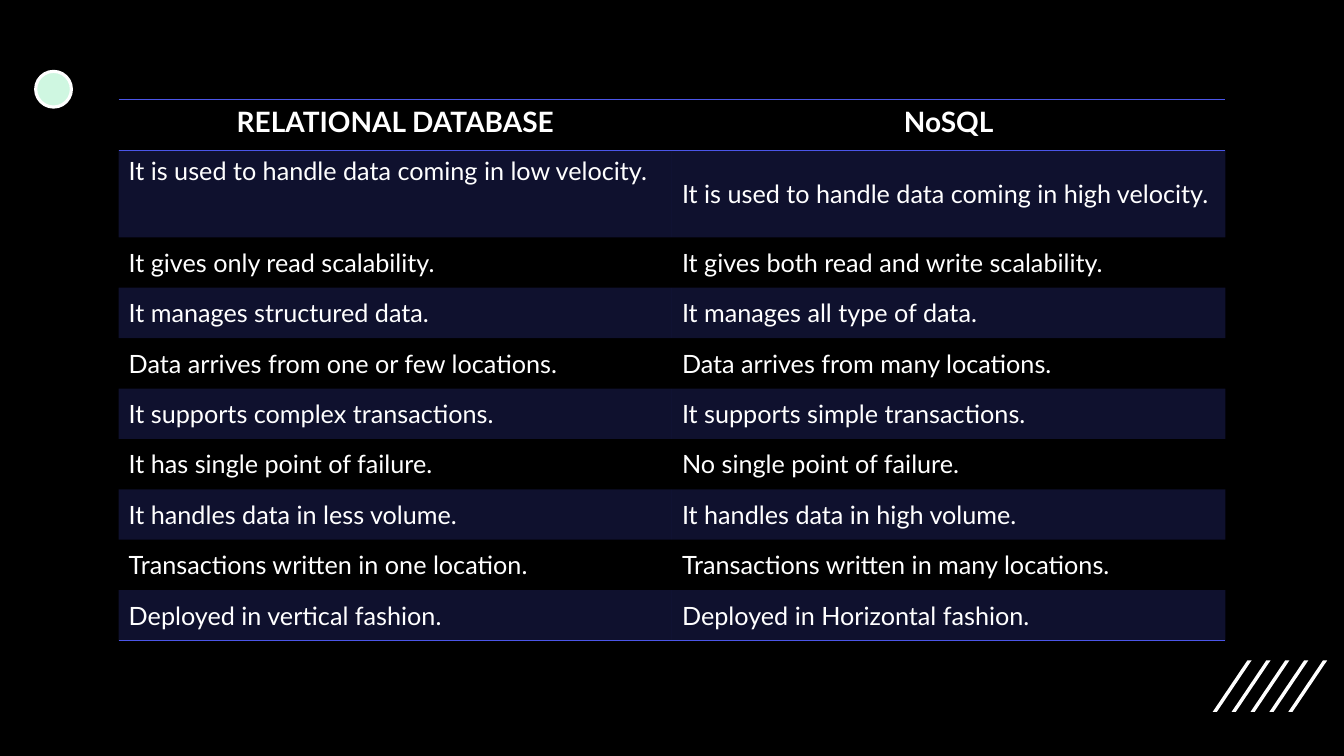
from lxml.etree import SubElement
from pptx import Presentation
from pptx.dml.color import RGBColor
from pptx.enum.shapes import MSO_SHAPE as Shape
from pptx.enum.text import MSO_ANCHOR as Anchor, PP_ALIGN as Align
from pptx.oxml import parse_xml
from pptx.oxml.ns import nsdecls, qn
from pptx.util import Pt

PX = 9525
COLORS = {"black": "000000", "white": "FFFFFF", "mint": "CFF7E1", "indigo": "4B56E8"}
FONT = "Lato"
PLAIN_STYLE = "{2D5ABB26-0587-4C30-8999-92F81FD0307C}"
ROWS = [
    ("RELATIONAL DATABASE", "NoSQL"),
    ("It is used to handle data coming in low velocity.",
     "It is used to handle data coming in high velocity."),
    ("It gives only read scalability.", "It gives both read and write scalability."),
    ("It manages structured data.", "It manages all type of data."),
    ("Data arrives from one or few locations.", "Data arrives from many locations."),
    ("It supports complex transactions.", "It supports simple transactions."),
    ("It has single point of failure.", "No single point of failure."),
    ("It handles data in less volume.", "It handles data in high volume."),
    ("Transactions written in one location.", "Transactions written in many locations."),
    ("Deployed in vertical fashion.", "Deployed in Horizontal fashion."),
]


def color(name):
    """Return the named colour."""
    return RGBColor.from_string(COLORS[name])


def fill_solid(target, name):
    """Fill a shape, cell or background with one colour."""
    target.fill.solid()
    target.fill.fore_color.rgb = color(name)


def add_stripes(slide, left, top, width, height, count=5, thickness=4, step=18):
    """Draw a row of slanted stripes, each as wide and high as given."""
    for index in range(count):
        x = left + index * step
        builder = slide.shapes.build_freeform(x + thickness, top + height, scale=PX)
        builder.add_line_segments([
            (x, top + height), (x + width - thickness, top), (x + width, top)])
        stripe = builder.convert_to_shape()
        stripe.shadow.inherit = False
        fill_solid(stripe, "white")
        stripe.line.fill.background()


def add_dot(slide, left, top, size):
    """Draw the outlined round marker."""
    dot = slide.shapes.add_shape(Shape.OVAL, left * PX, top * PX, size * PX, size * PX)
    dot.shadow.inherit = False
    fill_solid(dot, "mint")
    dot.line.color.rgb = color("white")
    dot.line.width = Pt(2.25)


def add_borders(cell, sides):
    """Put thin lines on the given sides of a cell, top before bottom."""
    properties = cell._tc.get_or_add_tcPr()
    for index, side in enumerate(sides):
        properties.insert(index, parse_xml(
            f'<a:ln{side} {nsdecls("a")} w="12700"><a:solidFill>'
            f'<a:srgbClr val="{COLORS["indigo"]}"/></a:solidFill></a:ln{side}>'))


def style_cell(cell, row, column):
    """Style a cell by its place in the table."""
    paragraph = cell.text_frame.paragraphs[0]
    font = paragraph.font
    font.name = FONT
    font.size = Pt(18 if row else 20)
    font.bold = row == 0
    font.color.rgb = color("white")
    paragraph.alignment = Align.LEFT if row else Align.CENTER
    top_anchored = row == 0 or (row, column) == (1, 0)
    cell.vertical_anchor = Anchor.TOP if top_anchored else Anchor.MIDDLE
    if row % 2:
        fill_solid(cell, "indigo")
        tint = cell._tc.tcPr.find(".//" + qn("a:srgbClr"))
        SubElement(tint, qn("a:alpha"), val="20000")
    else:
        cell.fill.background()
    if row == 0:
        add_borders(cell, "TB")
    elif row == len(ROWS) - 1:
        add_borders(cell, "B")


def add_comparison(slide, left, top, width, row_height, tall_height):
    """Build the comparison table, whose second row is taller."""
    heights = [tall_height if row == 1 else row_height for row in range(len(ROWS))]
    frame = slide.shapes.add_table(
        len(ROWS), 2, left * PX, top * PX, width * PX, sum(heights) * PX)
    table = frame.table
    table.first_row = table.horz_banding = False
    table._tbl.tblPr.find(qn("a:tableStyleId")).text = PLAIN_STYLE
    for row, (texts, height) in enumerate(zip(ROWS, heights)):
        table.rows[row].height = height * PX
        for column, text in enumerate(texts):
            cell = table.cell(row, column)
            cell.text = text
            style_cell(cell, row, column)


def main():
    """Build and save the slide."""
    presentation = Presentation()
    presentation.slide_width, presentation.slide_height = 1280 * PX, 720 * PX
    slide = presentation.slides.add_slide(presentation.slide_layouts[6])
    fill_solid(slide.background, "black")
    add_stripes(slide, 1155, 629, 37, 49)
    add_dot(slide, 34, 68, 34)
    add_comparison(slide, 113, 95, 1054, 48, 83)
    presentation.save("out.pptx")


if __name__ == "__main__":
    main()
